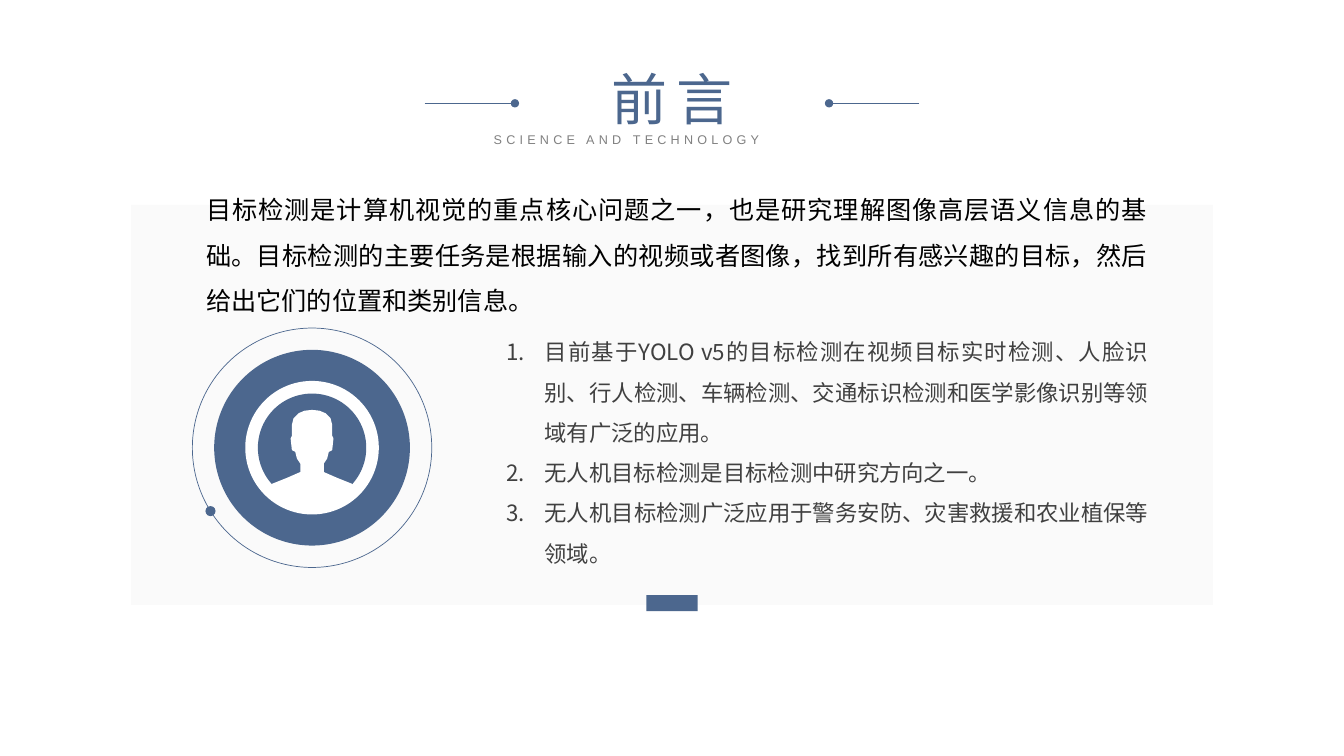
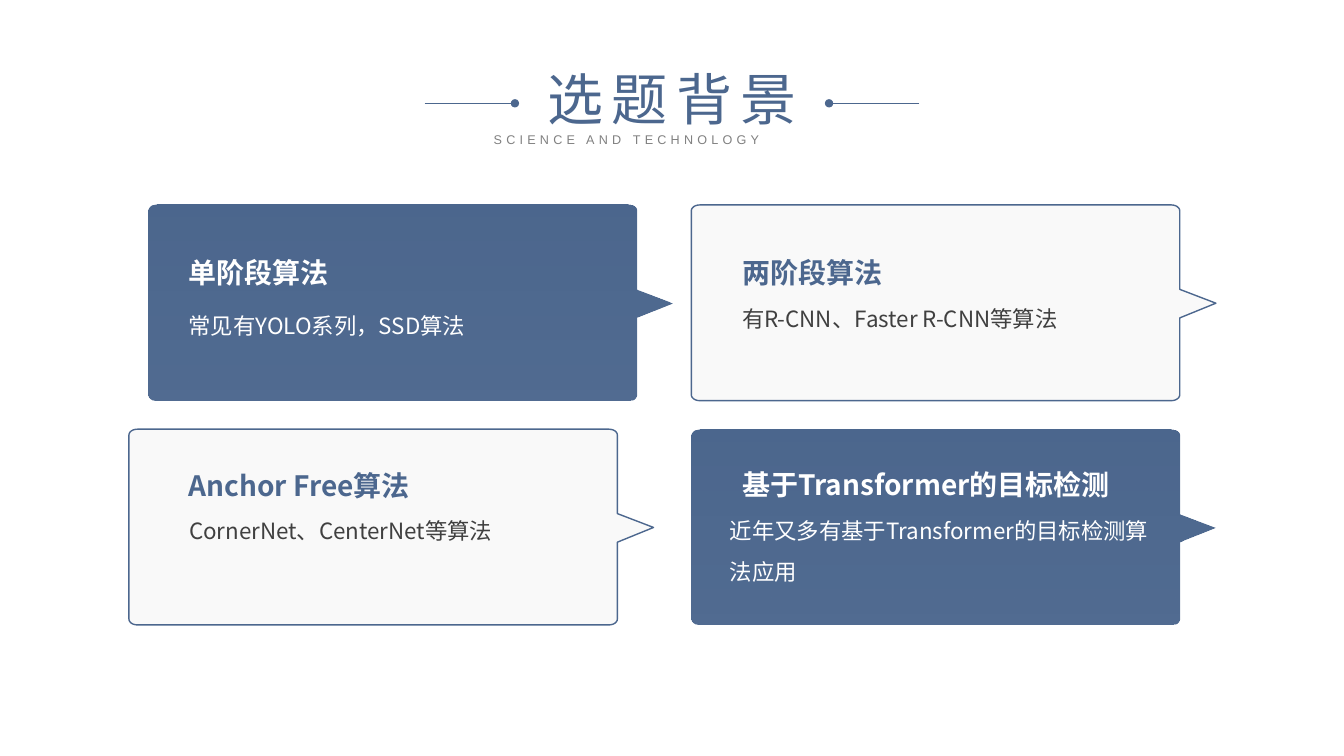
from dataclasses import dataclass
from math import cos, radians, sin

from lxml import etree
from pptx import Presentation
from pptx import util as u
from pptx.dml.color import RGBColor
from pptx.enum import lang, shapes, text
from pptx.oxml.ns import qn

COLS, ROWS = 160, 90            # square cells, twelve to the inch
CELL = u.Inches(1) // 12
MIDDLE = COLS / 2


@dataclass(frozen=True)
class Theme:
    blue: str = "4C678E"
    pale: str = "F2F2F2"
    white: str = "FFFFFF"
    black: str = "000000"
    ink: str = "404040"
    grey: str = "808080"
    cjk: str = "Noto Sans CJK SC"
    latin: str = "Arial"
    title: int = 40
    heading: int = 20
    lead: int = 18
    body: int = 16
    caption: int = 9
    hairline: float = 0.5
    outline: float = 1


def cells(*counts):
    return [round(n * CELL) for n in counts]


def arc(x, y, rx, ry, start, end, steps=6):
    """Points along an ellipse, angles in degrees, clockwise on the slide."""
    angles = [radians(start + (end - start) * i / steps) for i in range(steps + 1)]
    return [(x + rx * cos(a), y + ry * sin(a)) for a in angles]


class Deck:
    def __init__(self, theme):
        self.theme = theme
        self.prs = Presentation()
        self.prs.slide_width, self.prs.slide_height = cells(COLS, ROWS)
        self.slide = None

    # Slide frame: title, caption and the two dotted rules
    def page(self, title):
        t = self.theme
        self.slide = self.prs.slides.add_slide(self.prs.slide_layouts[6])
        self.words(57.6, 15.05, 44.9, 3, "SCIENCE AND TECHNOLOGY", t.caption, t.grey,
                   font=t.latin, align=text.PP_ALIGN.JUSTIFY, tracking=3)
        self.words(61.95, 7.1, 36.1, 9.2, title, t.title, t.blue,
                   align=text.PP_ALIGN.CENTER, tracking=6)
        for side in (-1, 1):
            self.rule(MIDDLE + side * 29.45, MIDDLE + side * 18.7, 12.3)

    # Text
    def words(self, x, y, w, h, content, size, color, font=None, bold=False,
              align=None, spacing=None, tracking=0, inset=True, numbered=False):
        frame = self.slide.shapes.add_textbox(*cells(x, y, w, h)).text_frame
        frame.word_wrap = True
        frame.auto_size = text.MSO_AUTO_SIZE.SHAPE_TO_FIT_TEXT
        if not inset:
            frame.margin_left = frame.margin_right = 0
            frame.margin_top = frame.margin_bottom = 0
        frame.text = content
        for paragraph in frame.paragraphs:
            paragraph.alignment = align
            paragraph.line_spacing = spacing
            paragraph._p.get_or_add_pPr().set("hangingPunct", "0")
            if numbered:
                self.number(paragraph)
            for run in paragraph.runs:
                self.style(run, size, color, font or self.theme.cjk, bold, tracking)

    def style(self, run, size, color, font, bold, tracking):
        run.font.size = u.Pt(size)
        run.font.bold = bold
        run.font.name = font
        run.font.color.rgb = RGBColor.from_string(color)
        run.font.language_id = lang.MSO_LANGUAGE_ID.SIMPLIFIED_CHINESE
        props = run._r.get_or_add_rPr()
        etree.SubElement(props, qn("a:ea")).set("typeface", self.theme.cjk)
        if tracking:
            props.set("spc", str(tracking * 100))

    def number(self, paragraph):
        props = paragraph._p.get_or_add_pPr()
        indent = u.Inches(0.38)
        props.set("marL", str(indent))
        props.set("indent", str(-indent))
        etree.SubElement(props, qn("a:buAutoNum")).set("type", "arabicPeriod")

    # Lines
    def rule(self, outer, inner, y):
        line = self.slide.shapes.add_connector(
            shapes.MSO_CONNECTOR.STRAIGHT, *cells(outer, y, inner, y))
        line.line.color.rgb = RGBColor.from_string(self.theme.blue)
        line.line.width = u.Pt(self.theme.hairline)
        etree.SubElement(line.line._get_or_add_ln(), qn("a:tailEnd")).set("type", "oval")
        etree.SubElement(line._element.spPr, qn("a:effectLst"))

    # Filled shapes
    def paint(self, shape, fill=None, alpha=100, fade=False, line=None):
        shape.shadow.inherit = False
        if fade:
            shape.fill.gradient()
            shape.fill.gradient_angle = 270
            for stop in shape.fill.gradient_stops:
                stop.color.rgb = RGBColor.from_string(fill)
        elif fill:
            shape.fill.solid()
            shape.fill.fore_color.rgb = RGBColor.from_string(fill)
        else:
            shape.fill.background()
        if alpha < 100:
            last = list(shape._element.spPr.iter(qn("a:srgbClr")))[-1]
            etree.SubElement(last, qn("a:alpha")).set("val", str(alpha * 1000))
        if line:
            shape.line.color.rgb = RGBColor.from_string(self.theme.blue)
            shape.line.width = u.Pt(line)
        else:
            shape.line.fill.background()

    def block(self, x, y, w, h, **look):
        rect = self.slide.shapes.add_shape(
            shapes.MSO_SHAPE.RECTANGLE, *cells(x, y, w, h))
        self.paint(rect, **look)

    def circle(self, x, y, radius, **look):
        disc = self.slide.shapes.add_shape(
            shapes.MSO_SHAPE.OVAL, *cells(x - radius, y - radius, 2 * radius, 2 * radius))
        self.paint(disc, **look)

    def outline(self, points, **look):
        first, *rest = [cells(*point) for point in points]
        builder = self.slide.shapes.build_freeform(*first)
        builder.add_line_segments(rest, close=True)
        self.paint(builder.convert_to_shape(), **look)

    # Portrait badge: orbit with a dot, disc, ring and bust
    def portrait(self, x, y):
        t = self.theme
        orbit = 14.25
        self.circle(x, y, orbit, line=t.hairline)
        dot = radians(148)
        self.circle(x + orbit * cos(dot), y + orbit * sin(dot), 0.6, fill=t.blue)
        for radius, color in ((11.65, t.blue), (7.95, t.white), (6.45, t.blue)):
            self.circle(x, y, radius, fill=color)
        half = [(0, -4.5), (0.9, -4.4), (1.6, -4.1), (2.2, -3.5), (2.4, -2.7),
                (2.4, -1.4), (2.55, -1.1), (2.4, 0.3), (2, 0.5), (1.8, 1.3),
                (1.4, 1.9), (1.4, 2.9), (3, 3.6), (4.75, 4.3)]
        half += arc(0, 0, 7, 7, 43, 90)
        bust = half + [(-dx, dy) for dx, dy in reversed(half)]
        self.outline([(x + dx, y + dy) for dx, dy in bust], fill=t.white)

    # Rounded card with a pointer on its right side
    def card(self, x, y, strong):
        t = self.theme
        right, bottom, rx, ry = x + 58.15, y + 23.3, 1, 0.7
        points = (arc(x + rx, y + ry, rx, ry, 180, 270)
                  + arc(right - rx, y + ry, rx, ry, 270, 360)
                  + [(right, y + 10.05), (x + 62.45, y + 11.7), (right, y + 13.45)]
                  + arc(right - rx, bottom - ry, rx, ry, 0, 90)
                  + arc(x + rx, bottom - ry, rx, ry, 90, 180))
        if strong:
            self.outline(points, fill=t.blue, alpha=97, fade=True)
        else:
            self.outline(points, fill=t.pale, alpha=44, line=t.outline)

    def card_text(self, heading, heading_at, body, body_at, body_width, strong):
        t = self.theme
        self.words(*heading_at, 46, 5.4, heading, t.heading,
                   t.white if strong else t.blue, bold=True, spacing=1.5, inset=False)
        self.words(*body_at, body_width, 4.3, body, t.body,
                   t.white if strong else t.ink, spacing=1.5, inset=False)


def preface(deck):
    t = deck.theme
    deck.page("前言")
    deck.block(15.6, 24.4, 128.8, 47.6, fill=t.pale, alpha=33)
    deck.block(76.95, 70.85, 6.1, 1.9, fill=t.blue)
    deck.words(23.35, 20.8, 114.5, 17,
               "目标检测是计算机视觉的重点核心问题之一，也是研究理解图像高层语义信息的基础。"
               "目标检测的主要任务是根据输入的视频或者图像，找到所有感兴趣的目标，"
               "然后给出它们的位置和类别信息。",
               t.lead, t.black, align=text.PP_ALIGN.JUSTIFY, spacing=1.5)
    points = [
        "目前基于YOLO v5的目标检测在视频目标实时检测、人脸识别、行人检测、车辆检测、"
        "交通标识检测和医学影像识别等领域有广泛的应用。",
        "无人机目标检测是目标检测中研究方向之一。",
        "无人机目标检测广泛应用于警务安防、灾害救援和农业植保等领域。",
    ]
    deck.words(59.1, 38.1, 78.85, 29.8, "\n".join(points), t.body, t.ink,
               align=text.PP_ALIGN.JUSTIFY, spacing=1.5, numbered=True)
    deck.portrait(37.15, 53.3)


def background(deck):
    deck.page("选题背景")
    upper, lower, right = 24.4, 51.1, 82.3
    # card corner, strong, heading and its place, body, its place and width
    algorithms = [
        ((17.65, upper), True, "单阶段算法", (22.45, 28.4),
         "常见有YOLO系列，SSD算法", (22.45, 35.6), 46),
        ((right, upper), False, "两阶段算法", (88.35, 28.4),
         "有R-CNN、Faster R-CNN等算法", (88.35, 34.7), 46),
        ((15.35, lower), False, "Anchor Free算法", (22.45, 53.75),
         "CornerNet、CenterNet等算法", (22.5, 60), 46),
        ((right, lower), True, "基于Transformer的目标检测", (88.35, 53.7),
         "近年又多有基于Transformer的目标检测算法应用", (86.9, 60), 49.9),
    ]
    for corner, strong, heading, heading_at, body, body_at, width in algorithms:
        deck.card(*corner, strong)
        deck.card_text(heading, heading_at, body, body_at, width, strong)


def main():
    deck = Deck(Theme())
    preface(deck)
    background(deck)
    deck.prs.save("out.pptx")


if __name__ == "__main__":
    main()
